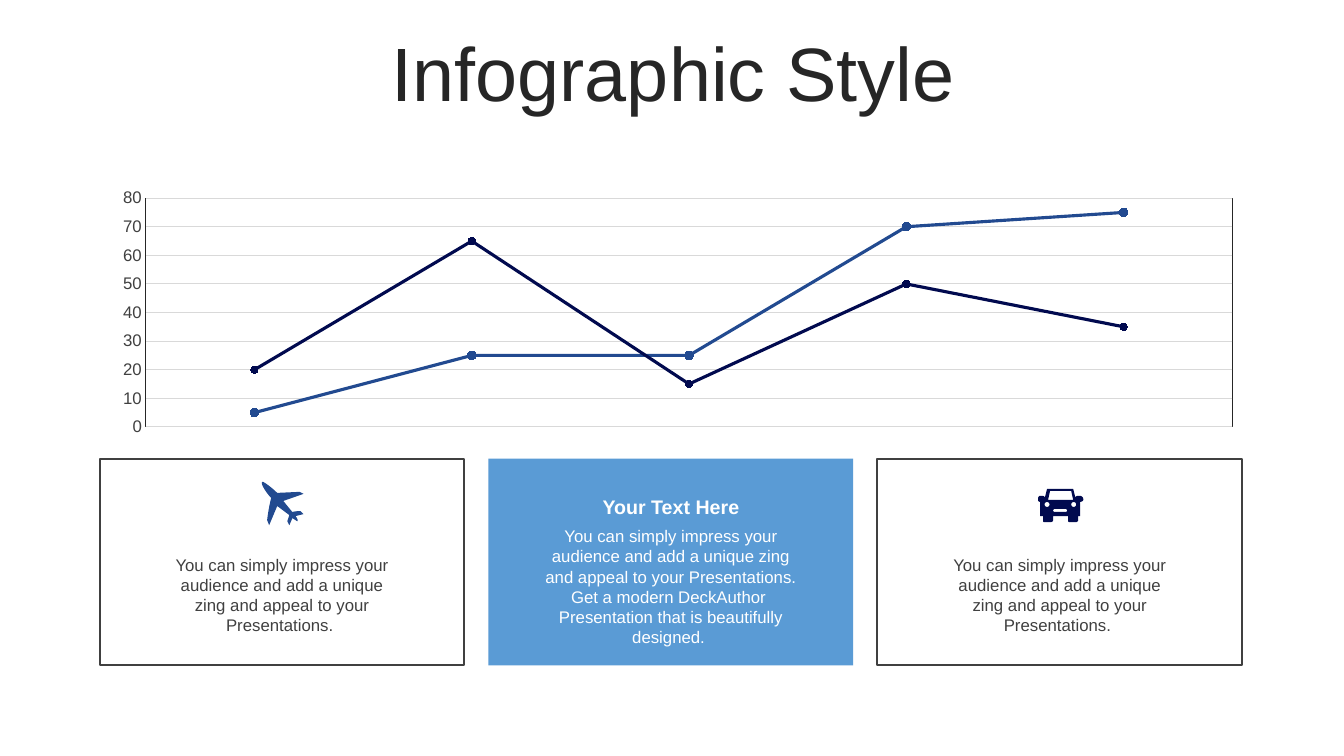
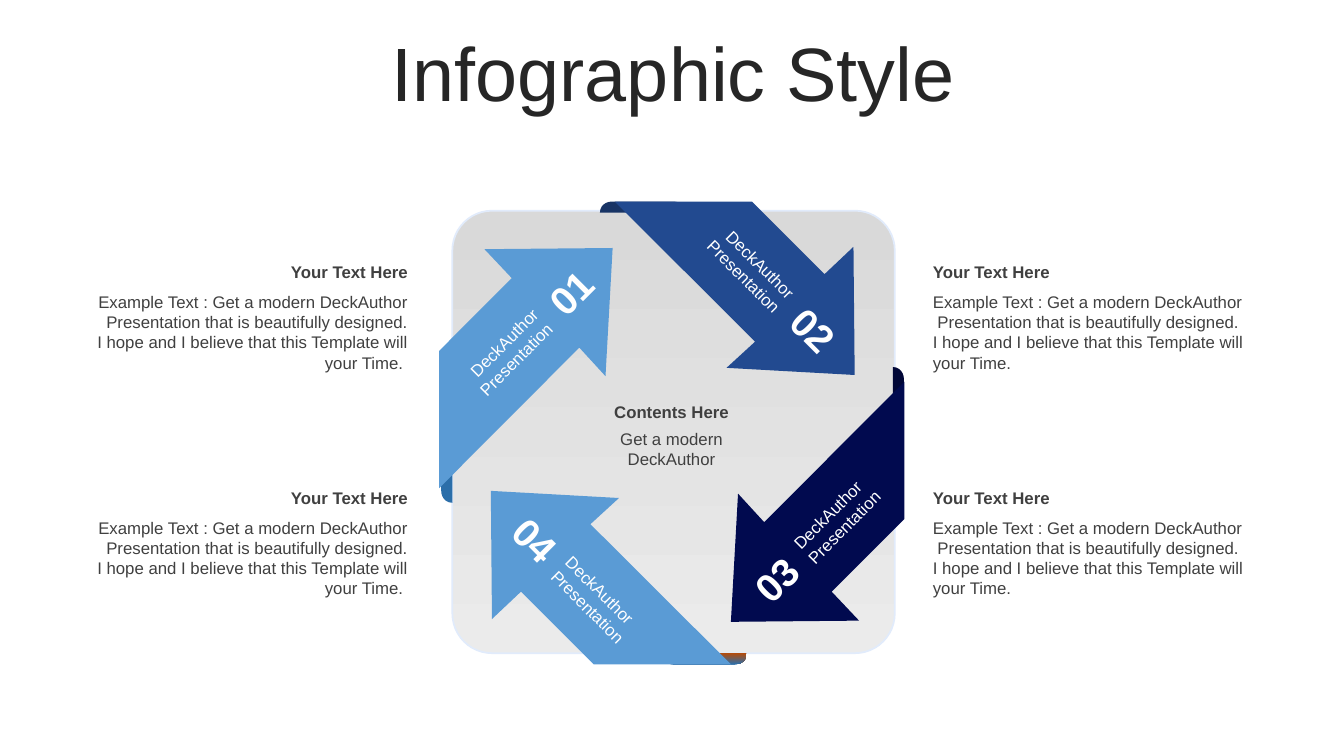
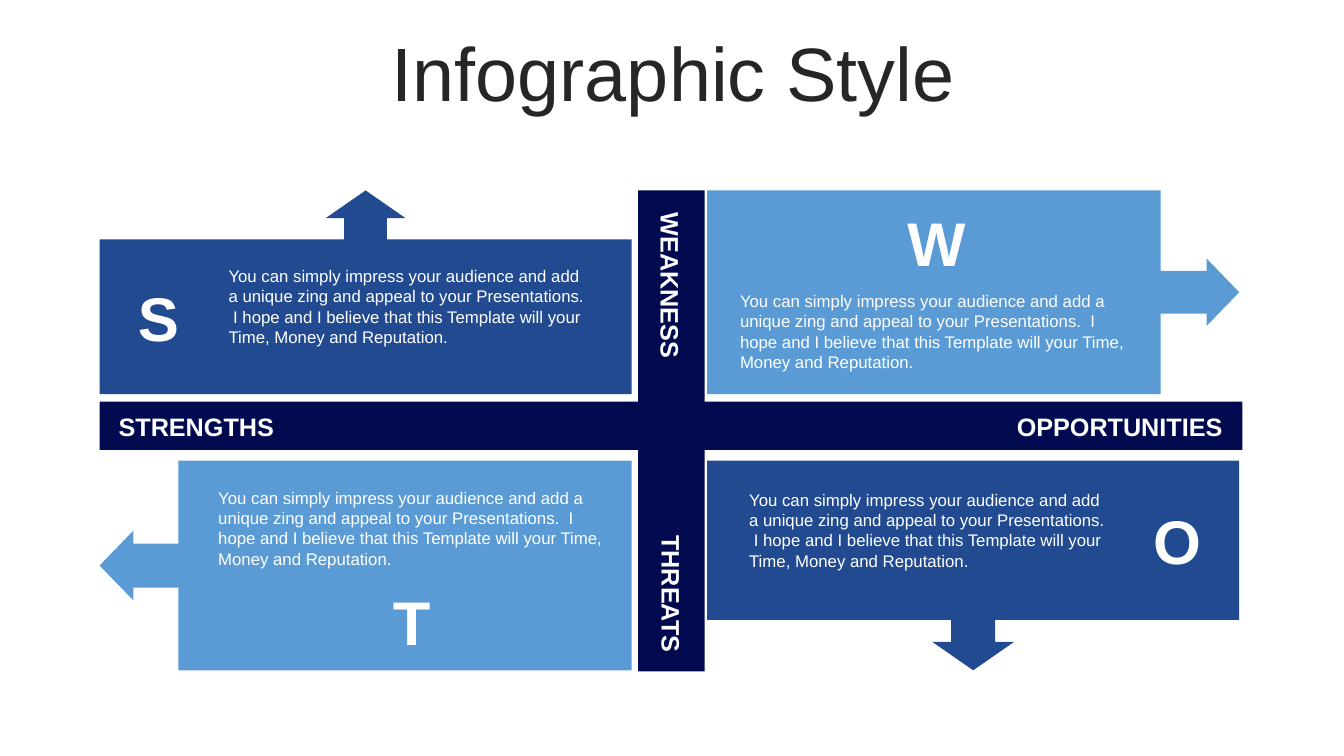
import math

from lxml import etree
from pptx import Presentation
from pptx.chart.data import CategoryChartData
from pptx.dml.color import RGBColor
from pptx.enum.chart import XL_CHART_TYPE, XL_MARKER_STYLE, XL_TICK_MARK
from pptx.enum.shapes import MSO_SHAPE
from pptx.enum.text import MSO_ANCHOR, PP_ALIGN
from pptx.oxml import parse_xml
from pptx.util import Cm, Pt

LEFT, CENTER, RIGHT = PP_ALIGN.LEFT, PP_ALIGN.CENTER, PP_ALIGN.RIGHT
MIDDLE = MSO_ANCHOR.MIDDLE
RECTANGLE, ROUNDED = MSO_SHAPE.RECTANGLE, MSO_SHAPE.ROUNDED_RECTANGLE
CALLOUT = MSO_SHAPE.UP_ARROW_CALLOUT
LINE_MARKERS = XL_CHART_TYPE.LINE_MARKERS
CIRCLE = XL_MARKER_STYLE.CIRCLE
NO_TICK = XL_TICK_MARK.NONE

FONT = "Arial"
WHITE, GREY, INK = "FFFFFF", "404040", "262626"
SKY, BLUE, NAVY = "5A9BD5", "224A90", "010A4F"
DOWNWARD = 270

IMPRESS = ("You can simply impress your audience and add a unique zing "
           "and appeal to your Presentations. ")
PROMISE = ("Get a modern DeckAuthor  Presentation that is beautifully designed.")
EXAMPLE = ("Example Text : " + PROMISE
           + " I hope and I believe that this Template will your Time.")
SWOT_TEXT = (IMPRESS + " I hope and I believe that this Template will your Time, "
             "Money and Reputation.")

# Outlines: a pair is a corner, six numbers are a Bézier curve
ARROW = [(0, 0), (-0.18, 3.23), (-0.84, 2.51), (-4.37, 6.05),
         (-4.37, 2.59), (-2.54, 0.76), (-3.23, 0.03)]
TAB = [(0, 0), (0, 2.18), (-0.18, 2.18, -0.28, 2.03, -0.28, 1.88),
       (-0.28, 0.33), (-0.28, 0.15, -0.18, 0.03, 0, 0)]
PLANE = [(42, 32), (34, 34), (35, 35, 37, 38, 36, 39), (35, 39, 33, 37, 31, 36),
         (28, 43), (26, 39), (28, 33), (16, 24), (8, 43), (6, 38),
         (7, 30, 8, 24, 10, 16), (6, 12, -1, 2, 1, 0), (2, -1, 12, 7, 16, 11),
         (38, 10), (42, 12), (22, 19), (31, 30), (33, 29, 39, 29, 39, 29)]
CAR_BODY = [(9, 0), (35, 0), (37, 8), (38, 8, 38, 7, 39, 7), (42, 7),
            (43, 7, 45, 8, 45, 10), (45, 11), (45, 12, 43, 13, 42, 13),
            (42, 27), (40, 27), (40, 31), (40, 32, 39, 33, 38, 33), (31, 33),
            (30, 33, 30, 32, 30, 31), (30, 27), (15, 27), (15, 31),
            (15, 32, 14, 33, 13, 33), (6, 33), (5, 33, 5, 32, 5, 31), (5, 27),
            (2, 27), (2, 13), (1, 13, 0, 12, 0, 11), (0, 10),
            (0, 8, 1, 7, 2, 7), (5, 7), (6, 7, 6, 8, 7, 8)]
CAR_GRILLE = [(16, 20), (15, 21), (15, 22), (16, 23),
              (28, 23), (29, 22), (29, 21), (28, 20)]
CAR_WINDOW = [(12, 2), (10, 11), (35, 11), (33, 2)]


# ---------- shared helpers ----------
def colour(code):
    return RGBColor.from_string(code)


def paint(shape, fill, line=None, width=1.5):
    """Fill with one colour, or with a pair as a downward gradient."""
    shape.shadow.inherit = False
    if isinstance(fill, tuple):
        shape.fill.gradient()
        shape.fill.gradient_angle = DOWNWARD
        for stop, code in zip(shape.fill.gradient_stops, fill):
            stop.color.rgb = colour(code)
    else:
        shape.fill.solid()
        shape.fill.fore_color.rgb = colour(fill)
    if line:
        shape.line.color.rgb = colour(line)
        shape.line.width = Pt(width)
    else:
        shape.line.fill.background()


def add_block(page, kind, box, fill, line=None, width=1.5):
    shape = page.shapes.add_shape(kind, *map(Cm, box))
    paint(shape, fill, line, width)
    return shape


def add_text(page, box, lines, size=12, ink=GREY, bold=False, align=LEFT, turn=0):
    text_box = page.shapes.add_textbox(*map(Cm, box))
    text_box.rotation = turn
    frame = text_box.text_frame
    frame.word_wrap = True
    for index, line in enumerate(lines):
        para = frame.paragraphs[0] if index == 0 else frame.add_paragraph()
        para.alignment = align
        span = para.add_run()
        span.text = line
        span.font.name = FONT
        span.font.size = Pt(size)
        span.font.bold = bold
        span.font.color.rgb = colour(ink)
    return frame


def flatten(steps):
    """Turn corners and curves into a list of points."""
    points = []
    for step in steps:
        if len(step) == 2:
            points.append(step)
            continue
        nodes = [points[-1], step[:2], step[2:4], step[4:]]
        for part in range(1, 7):
            t = part / 6
            weights = ((1 - t) ** 3, 3 * t * (1 - t) ** 2, 3 * t * t * (1 - t), t ** 3)
            points.append(tuple(sum(w * node[axis] for w, node in zip(weights, nodes))
                                for axis in (0, 1)))
    return points


def add_outline(page, contours, origin, fill, scale=1.0, quarter_turns=0):
    """Draw closed contours, turned clockwise about the origin."""
    builder = None
    for contour in contours:
        points = flatten(contour)
        for _ in range(quarter_turns):
            points = [(-y, x) for x, y in points]
        points = [(Cm(origin[0] + x * scale), Cm(origin[1] + y * scale))
                  for x, y in points]
        if builder is None:
            builder = page.shapes.build_freeform(*points[0], scale=1.0)
        else:
            builder.move_to(*points[0])
        builder.add_line_segments(points[1:], close=True)
    paint(builder.convert_to_shape(), fill)


def ring(x, y, radius):
    return [(x + radius * math.cos(k * math.pi / 8), y + radius * math.sin(k * math.pi / 8))
            for k in range(16)]


def add_page(deck):
    page = deck.slides.add_slide(deck.slide_layouts[6])
    frame = add_text(page, (0.89, 0.94, 32.16, 2.01), ["Infographic Style"],
                     54, INK, align=CENTER)
    frame.vertical_anchor = MIDDLE
    frame.paragraphs[0].line_spacing = 0.9
    return page


# ---------- chart page ----------
def add_line_chart(page, box):
    data = CategoryChartData()
    data.categories = ["1", "2", "3", "4", "5"]
    data.add_series("Series 1", (5, 25, 25, 70, 75))
    data.add_series("Series 2", (20, 65, 15, 50, 35))
    chart = page.shapes.add_chart(LINE_MARKERS, *map(Cm, box), data).chart
    chart.has_legend = False
    chart.has_title = False
    chart.font.name = FONT
    chart.font.size = Pt(10)
    chart.category_axis.visible = False

    scale = chart.value_axis
    scale.minimum_scale, scale.maximum_scale, scale.major_unit = 0, 80, 10
    scale.major_tick_mark = scale.minor_tick_mark = NO_TICK
    scale.format.line.fill.background()
    scale.major_gridlines.format.line.color.rgb = colour("D9D9D9")
    scale.major_gridlines.format.line.width = Pt(0.75)
    labels = scale.tick_labels.font
    labels.name, labels.size, labels.color.rgb = FONT, Pt(12), colour(GREY)

    chart.plots[0].vary_by_categories = False
    for series, code, size in zip(chart.plots[0].series, (BLUE, NAVY), (6, 5)):
        series.smooth = False
        series.format.line.color.rgb = colour(code)
        series.format.line.width = Pt(2.25)
        series.marker.style = CIRCLE
        series.marker.size = size
        series.marker.format.fill.solid()
        series.marker.format.fill.fore_color.rgb = colour(code)
        series.marker.format.line.color.rgb = colour(code)
    frame_plot(chart)


def frame_plot(chart):
    """Fix the inner plot area and give it a thin border."""
    space = "http://schemas.openxmlformats.org/drawingml/2006/chart"
    drawing = "http://schemas.openxmlformats.org/drawingml/2006/main"
    plot_area = chart.plots[0]._element.getparent()
    for old in plot_area.findall(f"{{{space}}}layout"):
        plot_area.remove(old)
    layout = parse_xml(f'<c:layout xmlns:c="{space}"><c:manualLayout/></c:layout>')
    for name, value in (("layoutTarget", "inner"), ("xMode", "edge"), ("yMode", "edge"),
                        ("x", "0.04"), ("y", "0.05"), ("w", "0.94"), ("h", "0.89")):
        etree.SubElement(layout[0], f"{{{space}}}{name}").set("val", value)
    plot_area.insert(0, layout)
    plot_area.append(parse_xml(
        f'<c:spPr xmlns:c="{space}" xmlns:a="{drawing}"><a:noFill/><a:ln w="9525">'
        f'<a:solidFill><a:srgbClr val="{INK}"/></a:solidFill></a:ln></c:spPr>'))


def add_icon_card(page, box, contours, icon_at, scale, fill):
    left, top = box[:2]
    add_block(page, RECTANGLE, box, WHITE, GREY)
    add_text(page, (left + 1.55, top + 2.29, 6.1, 2.31), [IMPRESS], align=CENTER)
    add_outline(page, contours, (left + icon_at[0], top + icon_at[1]), fill, scale)


def add_highlight_card(page, box):
    left, top = box[:2]
    add_block(page, RECTANGLE, box, SKY)
    add_text(page, (left + 0.94, top + 0.79, 7.32, 0.86), ["Your Text Here"],
             14, WHITE, True, CENTER)
    add_text(page, (left + 0.94, top + 1.57, 7.32, 2.82), [IMPRESS + PROMISE + " "],
             12, WHITE, align=CENTER)


def build_chart_page(deck):
    page = add_page(deck)
    add_line_chart(page, (2.51, 4.67, 29.13, 6.48))
    cards = [(2.51 + 9.8 * column, 11.56, 9.19, 5.21) for column in range(3)]
    car = [CAR_BODY, CAR_WINDOW, CAR_GRILLE, ring(35.5, 15.5, 2.5), ring(9, 15.5, 2.5)]
    add_icon_card(page, cards[0], [PLANE], (4.07, 0.58), 1.07 / 42, BLUE)
    add_highlight_card(page, cards[1])
    add_icon_card(page, cards[2], car, (4.05, 0.76), 1.14 / 45, NAVY)


# ---------- cycle page ----------
def add_cycle_arrow(page, index, tip, fill, tab, tab_fill, number_at, label_box, align):
    turn = 315 if index % 2 == 0 else 45
    add_outline(page, [TAB], tab, tab_fill, quarter_turns=index)
    add_outline(page, [ARROW], tip, fill, quarter_turns=index)
    add_text(page, (tip[0] + number_at[0], tip[1] + number_at[1], 2.44, 1.45),
             [f"{index + 1:02d}"], 28, WHITE, True, CENTER, turn)
    x, y, width = label_box
    add_text(page, (tip[0] + x, tip[1] + y, width, 1.27),
             ["DeckAuthor", "Presentation"], 12, WHITE, align=align, turn=turn)


def add_caption(page, box, text, align, heading="Your Text Here", gap=0.75):
    left, top, width, height = box
    add_text(page, (left, top, width, 0.76), [heading], bold=True, align=align)
    add_text(page, (left, top + gap, width, height - gap), [text], align=align)


def build_cycle_page(deck):
    page = add_page(deck)
    card = add_block(page, ROUNDED, (11.4, 5.31, 11.15, 11.15),
                     ("D9D9D9", "EBEBEB"), "E1EBFB", 1.25)
    card.adjustments[0] = 0.09
    arrows = [
        ((15.44, 6.25), SKY, (11.4, 10.49), "2B6EA9",
         (-2.28, 0.4), (-4.64, 2.23, 3.56), RIGHT),
        ((21.54, 9.45), BLUE, (17.3, 5.36), "183465",
         (-2.26, -1.86), (-4.85, -3.63, 3.81), RIGHT),
        ((18.42, 15.67), NAVY, (22.5, 11.43), "010737",
         (-0.08, -1.8), (1.11, -3.5, 3.71), LEFT),
        ((12.37, 12.37), SKY, (16.64, 16.46), ("B64B08", "2B6EA9"),
         (-0.1, 0.51), (1.07, 2.39, 3.68), LEFT),
    ]
    for index, arrow in enumerate(arrows):
        add_cycle_arrow(page, index, *arrow)
    for top in (6.48, 12.17):
        add_caption(page, (23.26, top, 8.36, 3.06), EXAMPLE, LEFT)
        add_caption(page, (2.17, top, 8.36, 3.06), EXAMPLE + " ", RIGHT)
    add_caption(page, (14.83, 10.01, 4.19, 1.93), "Get a modern DeckAuthor", CENTER,
                "Contents Here", 0.66)


# ---------- SWOT page ----------
def add_quadrant(page, box, turn, fill, letter, letter_at, text_at, text_width):
    left, top, width, height = box
    sideways = turn in (90, 270)
    frame = box
    if sideways:
        frame = (left + (width - height) / 2, top + (height - width) / 2, height, width)
    callout = add_block(page, CALLOUT, frame, fill)
    callout.rotation = turn
    ratios = (0.21, 0.166, 0.161, 0.852) if sideways else (0.21, 0.196, 0.136, 0.759)
    for index, ratio in enumerate(ratios):
        callout.adjustments[index] = ratio
    add_text(page, (left + text_at[0], top + text_at[1], text_width, 2.31),
             [SWOT_TEXT], 12, WHITE)
    add_text(page, (left + letter_at[0], top + letter_at[1], 1.75, 2.13),
             [letter], 44, WHITE, True, CENTER)


def add_cross(page, box):
    left, top, width, height = box
    add_block(page, RECTANGLE, (left + 13.57, top, 1.68, height), NAVY)
    add_block(page, RECTANGLE, (left, top + 5.32, width, 1.22), NAVY)
    labels = [("STRENGTHS", 0.23, 5.44, 5.21, LEFT, 0),
              ("OPPORTUNITIES", 22, 5.44, 6.55, RIGHT, 0),
              ("WEAKNESS", 11.97, 2.21, 4.83, LEFT, 90),
              ("THREATS", 12.25, 9.22, 4.32, RIGHT, 90)]
    for label, x, y, length, align, turn in labels:
        add_text(page, (left + x, top + y, length, 1.02), [label],
                 18, WHITE, True, align, turn)


def build_swot_page(deck):
    page = add_page(deck)
    west, east, north, south = 2.51, 17.82, 4.8, 11.61
    width, upper, lower = 13.41, 5.13, 5.28
    add_quadrant(page, (west, north, width, upper), 0, BLUE, "S",
                 (0.61, 2.13), (3, 1.78), 9.5)
    add_quadrant(page, (east, north, width, upper), 90, SKY, "W",
                 (4.8, 0.25), (0.58, 2.41), 10.21)
    add_quadrant(page, (east, south, width, lower), 180, BLUE, "O",
                 (10.97, 0.94), (0.81, 0.61), 9.5)
    add_quadrant(page, (west, south, width, lower), 270, SKY, "T",
                 (6.99, 2.97), (2.74, 0.56), 10.21)
    add_cross(page, (west, north, 28.8, 12.12))


def main():
    deck = Presentation()
    deck.slide_width, deck.slide_height = Cm(33.87), Cm(19.05)
    build_chart_page(deck)
    build_cycle_page(deck)
    build_swot_page(deck)
    deck.save("out.pptx")


if __name__ == "__main__":
    main()
